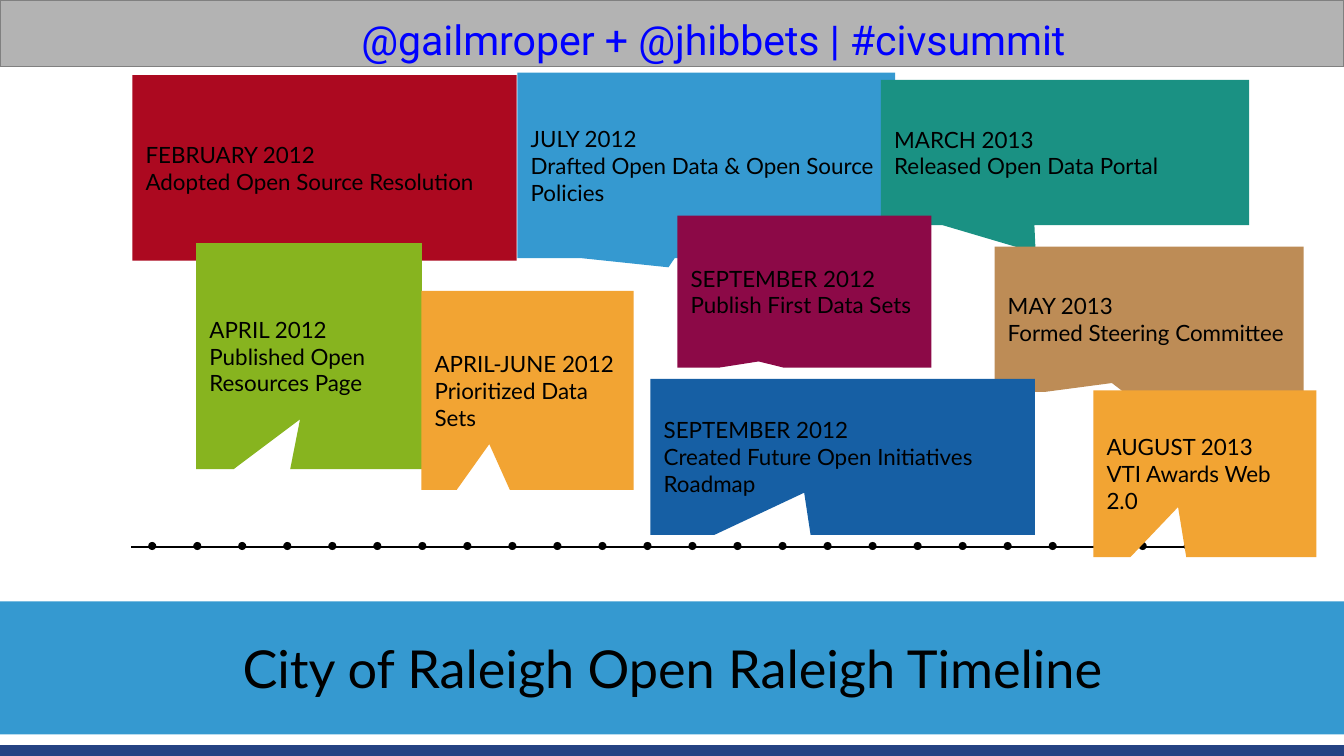
from dataclasses import dataclass

from lxml import etree
from pptx import Presentation
from pptx import util as u
from pptx.dml.color import RGBColor
from pptx.enum import shapes, text
from pptx.oxml import ns

CELL = 0.1  # inches
COLUMNS = 100
ROWS = COLUMNS * 9 / 16  # widescreen


@dataclass(frozen=True)
class Theme:
    body_font: str = "Lato"
    header_font: str = "Roboto"
    title_size: int = 28
    header_size: int = 22
    event_size: int = 12
    ink: str = "000000"
    link: str = "0000FF"
    gray: str = "B3B3B3"
    gray_line: str = "808080"
    navy: str = "254383"
    sky: str = "3599D0"
    red: str = "AC0920"
    green: str = "87B41F"
    teal: str = "1A9183"
    tan: str = "BD8C56"
    plum: str = "8C0947"
    amber: str = "F2A433"
    blue: str = "165FA4"


@dataclass(frozen=True)
class Area:
    column: float
    row: float
    columns: float
    rows: float

    def lengths(self) -> tuple:
        return tuple(grid(n) for n in (self.column, self.row, self.columns, self.rows))


@dataclass(frozen=True)
class Event:
    date: str
    label: str
    area: Area
    color: str
    tip: tuple[float, float]  # pointer tip from the centre, as shares of the box
    margin: float = 1


THEME = Theme()

# Events behind and in front of the time axis, each from back to front
BACK_EVENTS = [
    Event("FEBRUARY 2012", "Adopted Open Source Resolution",
          Area(9.85, 5.6, 28.6, 13.8), THEME.red, (0, 0.55)),
    Event("JULY 2012", "Drafted Open Data & Open Source Policies",
          Area(38.5, 5.4, 28.1, 13.8), THEME.sky, (-0.1, 0.55)),
    Event("APRIL 2012", "Published Open Resources Page",
          Area(14.6, 18.1, 16.8, 16.8), THEME.green, (-0.04, 0.28)),
    Event("MARCH 2013", "Released Open Data Portal",
          Area(65.55, 5.95, 27.4, 10.8), THEME.teal, (-0.08, 0.69)),
    Event("MAY 2013", "Formed Steering Committee",
          Area(74, 18.35, 23, 10.8), THEME.tan, (-0.12, 0.44)),
]
FRONT_EVENTS = [
    Event("SEPTEMBER 2012", "Publish First Data Sets",
          Area(50.4, 16.05, 18.9, 11.3), THEME.plum, (-0.18, 0.46)),
    Event("AUGUST 2013", "VTI Awards Web 2.0",
          Area(81.35, 29.05, 16.6, 12.4), THEME.amber, (-0.12, 0.2)),
    Event("SEPTEMBER 2012", "Created Future Open Initiatives Roadmap",
          Area(48.4, 28.2, 28.6, 11.6), THEME.blue, (-0.1, 0.23)),
    Event("APRIL-JUNE 2012", "Prioritized Data Sets",
          Area(31.35, 21.65, 15.8, 14.8), THEME.amber, (-0.18, 0.27), margin=0.5),
]

# Time axis
AXIS_START, AXIS_END, AXIS_ROW = 9.75, 96.8, 40.7
DOT_COUNT, DOT_START, DOT_STEP, DOT_ROW, DOT_SIZE = 26, 11.03, 3.35, 40.33, 0.6


def grid(cells: float) -> u.Emu:
    return u.Inches(cells * CELL)


def add_block(page, kind, area: Area, color: str):
    block = page.shapes.add_shape(kind, *area.lengths())
    block.shadow.inherit = False
    block.fill.solid()
    block.fill.fore_color.rgb = RGBColor.from_string(color)
    block.line.fill.background()
    return block


def set_margins(frame, side: float, end: float) -> None:
    frame.margin_left = frame.margin_right = grid(side)
    frame.margin_top = frame.margin_bottom = grid(end)


def write(para, words: str, size: int, font: str, color: str, align) -> None:
    para.alignment = align
    span = para.add_run()
    span.text = words
    span.font.size = u.Pt(size)
    span.font.name = font
    span.font.color.rgb = RGBColor.from_string(color)


def add_event(page, event: Event) -> None:
    box = add_block(page, shapes.MSO_SHAPE.RECTANGULAR_CALLOUT, event.area, event.color)
    box.adjustments[0], box.adjustments[1] = event.tip
    frame = box.text_frame
    frame.word_wrap = True
    frame.vertical_anchor = text.MSO_ANCHOR.MIDDLE
    set_margins(frame, 1, event.margin)
    for para, words in ((frame.paragraphs[0], event.date),
                        (frame.add_paragraph(), event.label)):
        write(para, words, THEME.event_size, THEME.body_font, THEME.ink,
              text.PP_ALIGN.LEFT)


def add_axis(page) -> None:
    axis = page.shapes.add_connector(
        shapes.MSO_CONNECTOR.STRAIGHT, grid(AXIS_START), grid(AXIS_ROW),
        grid(AXIS_END), grid(AXIS_ROW))
    axis.line.color.rgb = RGBColor.from_string(THEME.ink)
    axis.line.width = u.Pt(1.25)
    etree.SubElement(axis.element.spPr, ns.qn("a:effectLst"))
    for number in range(DOT_COUNT):
        area = Area(DOT_START + number * DOT_STEP, DOT_ROW, DOT_SIZE, DOT_SIZE)
        add_block(page, shapes.MSO_SHAPE.OVAL, area, THEME.ink)


def add_header(page) -> None:
    bar = add_block(page, shapes.MSO_SHAPE.RECTANGLE, Area(0, 0, COLUMNS, 4.95),
                    THEME.gray)
    bar.line.color.rgb = RGBColor.from_string(THEME.gray_line)
    bar.line.width = u.Pt(0.75)
    box = page.shapes.add_textbox(*Area(14.1, 1.05, 78, 3.4).lengths())
    frame = box.text_frame
    frame.word_wrap = False
    set_margins(frame, 0, 0)
    write(frame.paragraphs[0], "@gailmroper + @jhibbets | #civsummit",
          THEME.header_size, THEME.header_font, THEME.link, text.PP_ALIGN.CENTER)


def add_title(page) -> None:
    add_block(page, shapes.MSO_SHAPE.RECTANGLE, Area(0, 44.75, COLUMNS, 9.9), THEME.sky)
    title = page.shapes.title
    title.left, title.top, title.width, title.height = Area(4, 46.85, 79, 10.3).lengths()
    frame = title.text_frame
    frame.word_wrap = True
    frame.auto_size = text.MSO_AUTO_SIZE.NONE
    frame.vertical_anchor = text.MSO_ANCHOR.TOP
    set_margins(frame, 1, 0.5)
    write(frame.paragraphs[0], "City of Raleigh Open Raleigh Timeline",
          THEME.title_size, THEME.body_font, THEME.ink, text.PP_ALIGN.RIGHT)
    # Bring the title in front of its band
    page.shapes.element.append(title.element)


def main() -> None:
    deck = Presentation()
    deck.slide_width, deck.slide_height = grid(COLUMNS), grid(ROWS)
    page = deck.slides.add_slide(deck.slide_layouts.get_by_name("Title Only"))

    # Footer strip and header
    add_block(page, shapes.MSO_SHAPE.RECTANGLE, Area(0, 55.45, COLUMNS, 1.7), THEME.navy)
    add_header(page)

    # Timeline
    for event in BACK_EVENTS:
        add_event(page, event)
    add_axis(page)
    for event in FRONT_EVENTS:
        add_event(page, event)

    add_title(page)
    deck.save("out.pptx")


if __name__ == "__main__":
    main()
